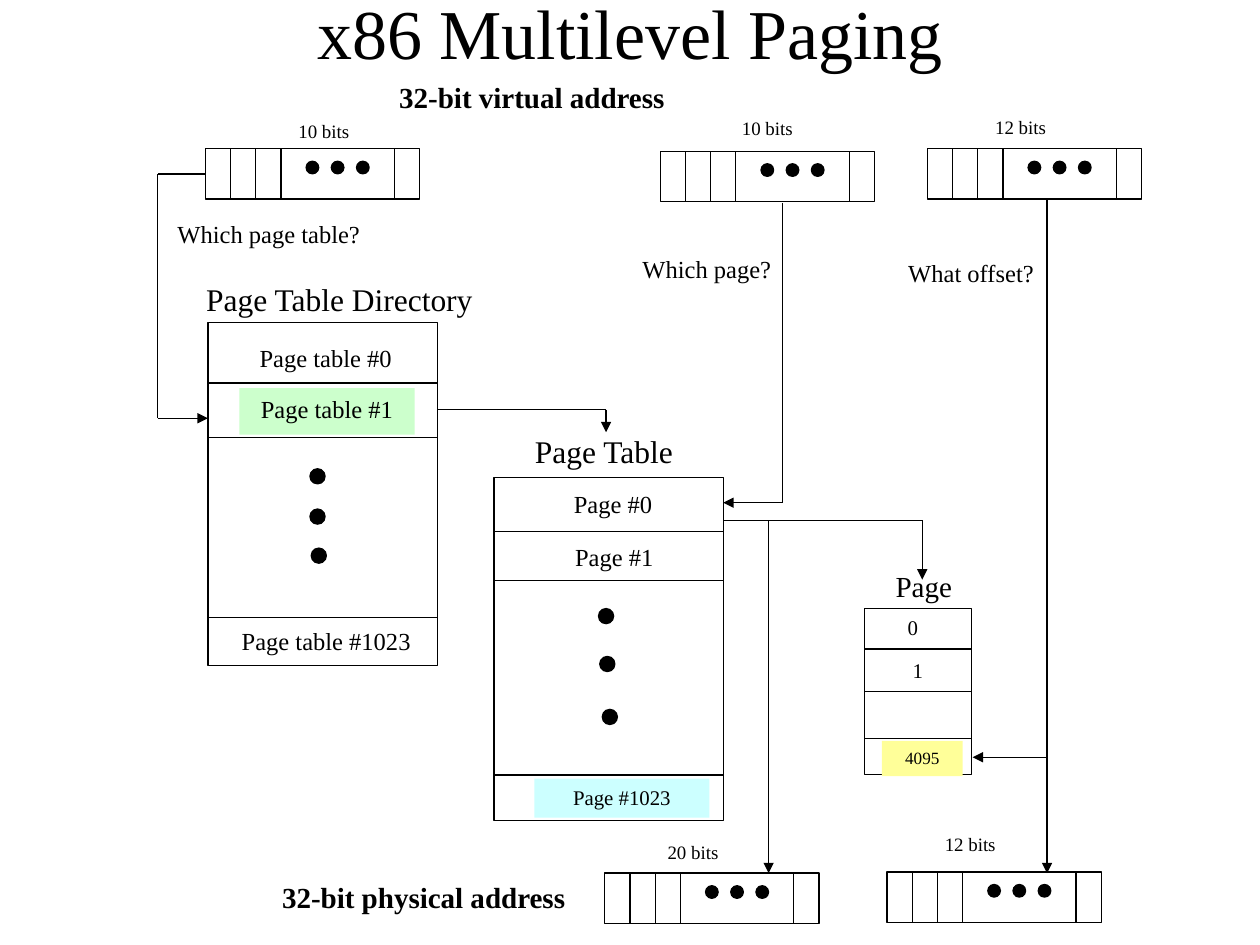
from dataclasses import dataclass
from itertools import pairwise

from lxml import etree
from pptx import Presentation
from pptx import util as u
from pptx.dml.color import RGBColor
from pptx.enum import shapes, text
from pptx.oxml import ns


@dataclass(frozen=True)
class Theme:
    """Colours, font and type sizes of the slide."""
    font: str = "Times New Roman"
    ink: str = "000000"
    paper: str = "FFFFFF"
    green: str = "CCFFCC"
    cyan: str = "CCFFFF"
    yellow: str = "FFFF99"
    title: float = 40
    heading: float = 18
    address: float = 16.6
    label: float = 14
    small: float = 11.9
    bits: float = 10.8
    tiny: float = 9.8
    line: float = 0.75


THEME = Theme()
CENTER = text.PP_ALIGN.CENTER
LEFT = text.PP_ALIGN.LEFT


def inch(value):
    """Turn inches into a length given in centimetres."""
    return u.Cm(2.54 * value)


def colour(code):
    """Turn a hexadecimal code into a colour."""
    return RGBColor.from_string(code)


def write(box, words, size, align, bold=False):
    """Put one formatted line of text into a box."""
    frame = box.text_frame
    frame.word_wrap = True
    frame.vertical_anchor = text.MSO_ANCHOR.TOP
    frame.text = words
    para = frame.paragraphs[0]
    para.alignment = align
    for span in para.runs:
        span.font.name = THEME.font
        span.font.size = u.Pt(size)
        span.font.bold = bold
        span.font.color.rgb = colour(THEME.ink)


def add_label(page, words, place, size, align=LEFT, bold=False):
    """Add a text box at left, top, width, height."""
    box = page.shapes.add_textbox(*map(inch, place))
    write(box, words, size, align, bold)
    return box


def add_shape(page, kind, place, fill, outlined=True):
    """Add a filled shape with or without an outline."""
    shape = page.shapes.add_shape(kind, *map(inch, place))
    shape.shadow.inherit = False
    shape.fill.solid()
    shape.fill.fore_color.rgb = colour(fill)
    if outlined:
        shape.line.color.rgb = colour(THEME.ink)
        shape.line.width = u.Pt(THEME.line)
    else:
        shape.line.fill.background()
    return shape


def add_box(page, place):
    """Add an outlined white rectangle."""
    return add_shape(page, shapes.MSO_SHAPE.RECTANGLE, place, THEME.paper)


def add_highlight(page, words, place, fill, size):
    """Add a coloured entry without an outline."""
    box = add_shape(page, shapes.MSO_SHAPE.RECTANGLE, place, fill, False)
    write(box, words, size, CENTER)


def add_dots(page, corners, size):
    """Add a black dot at each top-left corner."""
    for left, top in corners:
        add_shape(page, shapes.MSO_SHAPE.OVAL, (left, top, size, size), THEME.ink)


def add_line(page, start, end, arrow=False):
    """Add a straight line, with an arrowhead at its end if asked."""
    line = page.shapes.add_connector(
        shapes.MSO_CONNECTOR.STRAIGHT, *map(inch, (*start, *end)))
    line.line.color.rgb = colour(THEME.ink)
    line.line.width = u.Pt(THEME.line)
    if arrow:
        etree.SubElement(line.line._get_or_add_ln(), ns.qn("a:tailEnd"), type="triangle")
    etree.SubElement(line._element.spPr, ns.qn("a:effectLst"))
    return line


def add_route(page, *points):
    """Join points by lines that end in an arrow, and return the first line."""
    legs = list(pairwise(points))
    lines = [add_line(page, *leg, arrow=leg is legs[-1]) for leg in legs]
    return lines[0]


def add_register(page, left, top):
    """Add a row of address bits with an ellipsis of dots."""
    width, height, cell = 1.7, 0.4, 0.2
    box = add_box(page, (left, top, width, height))
    for offset in (cell, 2 * cell, 3 * cell, width - cell):
        add_line(page, (left + offset, top), (left + offset, top + height))
    add_dots(page, [(left + n * cell, top + 0.1) for n in (4, 5, 6)], 0.1)
    return box


def add_rows(page, place, dividers):
    """Add a box cut into rows at the given heights."""
    left, _, width, _ = place
    add_box(page, place)
    for y in dividers:
        add_line(page, (left, y), (left + width, y))


def add_directory(page):
    """Add the page table directory."""
    add_rows(page, (1.65, 2.56, 1.82, 2.72), (3.04, 3.47, 4.9))
    add_label(page, "Page Table Directory", (1.46, 2.17, 2.47, 0.42), THEME.heading, CENTER)
    add_label(page, "Page table #0", (1.89, 2.67, 1.39, 0.37), THEME.label, CENTER)
    add_highlight(page, "Page table #1", (1.9, 3.08, 1.39, 0.37), THEME.green, THEME.label)
    add_label(page, "Page table #1023", (1.81, 4.92, 1.56, 0.37), THEME.label, CENTER)
    add_dots(page, ((2.46, 3.72), (2.46, 4.04), (2.47, 4.35)), 0.12)


def add_page_table(page):
    """Add the page table."""
    add_rows(page, (3.92, 3.79, 1.82, 2.72), (4.22, 4.61, 6.15))
    add_label(page, "Page Table ", (3.79, 3.38, 2.07, 0.43), THEME.heading, CENTER)
    add_label(page, "Page #0", (4.17, 3.83, 1.39, 0.37), THEME.label, CENTER)
    add_label(page, "Page #1", (4.18, 4.25, 1.39, 0.37), THEME.label, CENTER)
    add_highlight(page, "Page #1023", (4.24, 6.18, 1.39, 0.31), THEME.cyan, THEME.small)
    add_dots(page, ((4.75, 4.83), (4.76, 5.21), (4.78, 5.63)), 0.12)


def add_memory_page(page):
    """Add the page with its byte offsets."""
    add_rows(page, (6.86, 4.83, 0.85, 1.32), (5.15, 5.49, 5.86))
    add_label(page, "Page ", (6.9, 4.46, 0.92, 0.39), THEME.address, CENTER)
    add_label(page, "0", (7.07, 4.83, 0.35, 0.31), THEME.small, CENTER)
    add_label(page, "1", (7.11, 5.17, 0.35, 0.31), THEME.small, CENTER)
    add_highlight(page, "4095", (7, 5.88, 0.64, 0.28), THEME.yellow, THEME.tiny)


def add_labels(page):
    """Add the questions, the address names and the bit counts."""
    for words, left, top, width in (("Which page table?", 1.31, 1.69, 1.75),
                                    ("Which page?", 5, 1.97, 1.25),
                                    ("What offset?", 7.11, 2, 1.21)):
        add_label(page, words, (left, top, width, 0.39), THEME.label)
    for words, left, top in (("32-bit virtual address", 3.07, 0.58),
                             ("32-bit physical address", 2.14, 6.93)):
        add_label(page, words, (left, top, 2.73, 0.4), THEME.address, bold=True)
    for count, left, top in ((10, 2.27, 0.9), (10, 5.79, 0.88), (12, 7.8, 0.87),
                             (20, 5.2, 6.62), (12, 7.4, 6.56)):
        add_label(page, f"{count} bits", (left, top, 0.8, 0.3), THEME.bits)


def main():
    """Build the slide and save it."""
    deck = Presentation()
    deck.slide_width, deck.slide_height = inch(10), inch(7.5)
    page = deck.slides.add_slide(deck.slide_layouts[6])
    title = add_label(page, "x86 Multilevel Paging", (0.75, 0, 8.5, 0.5), THEME.title, CENTER)
    title.text_frame.vertical_anchor = text.MSO_ANCHOR.MIDDLE
    add_directory(page)
    add_page_table(page)
    add_memory_page(page)
    registers = [add_register(page, *corner) for corner in (
        (1.63, 1.18), (5.24, 1.2), (7.36, 1.18), (4.8, 6.93), (7.04, 6.92))]
    add_labels(page)
    first = add_route(page, (1.63, 1.38), (1.25, 1.38), (1.25, 3.32), (1.65, 3.32))
    first.begin_connect(registers[0], 1)
    add_route(page, (3.47, 3.25), (4.81, 3.25), (4.81, 3.43))
    add_route(page, (6.21, 1.61), (6.21, 3.99), (5.74, 3.99))
    add_route(page, (5.74, 4.13), (7.32, 4.13), (7.32, 4.6))
    add_route(page, (6.1, 4.13), (6.1, 6.93))
    add_route(page, (8.31, 1.58), (8.31, 6.93))
    add_route(page, (8.31, 6.01), (7.72, 6.01))
    deck.save("out.pptx")


if __name__ == "__main__":
    main()
